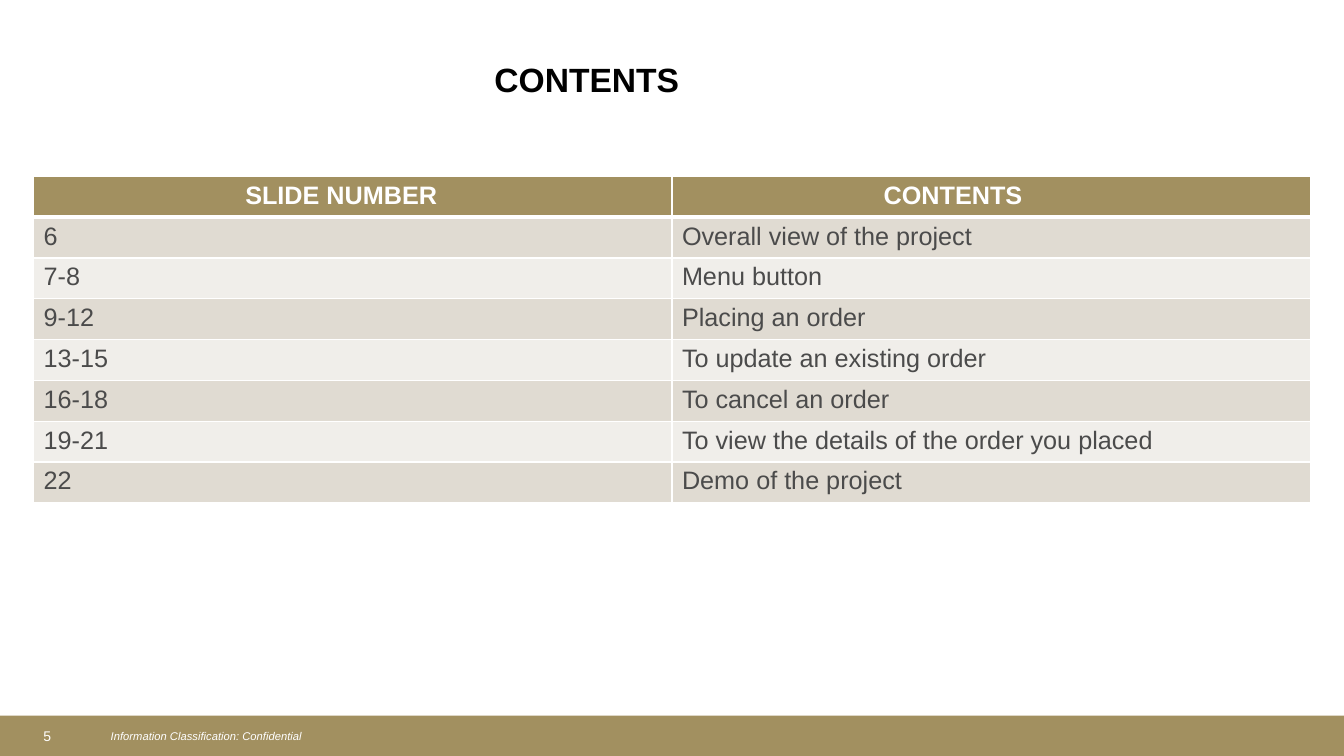
from dataclasses import dataclass

from lxml.etree import SubElement
from pptx import Presentation
from pptx.dml.color import RGBColor as Rgb
from pptx.enum.shapes import MSO_SHAPE as Shape
from pptx.enum.text import MSO_ANCHOR as Anchor
from pptx.oxml.ns import qn
from pptx.util import Inches, Pt


@dataclass(frozen=True)
class Theme:
    font: str = "Arial"
    gold: str = "A29060"
    bands: tuple = ("E0DBD2", "F0EEEA")
    white: str = "FFFFFF"
    black: str = "000000"
    grey: str = "4B4B4B"
    title_size: int = 24
    table_size: int = 18
    number_size: int = 10
    footer_size: int = 8


class ContentsSlide:
    COLUMNS, ROWS = 40, 30

    def __init__(self, deck, theme):
        self.theme = theme
        self.slide = deck.slides.add_slide(deck.slide_layouts[6])
        self.column = deck.slide_width / self.COLUMNS
        self.row = deck.slide_height / self.ROWS

    def area(self, left, top, width, height):
        """Turn grid columns and rows into lengths."""
        return (round(left * self.column), round(top * self.row),
                round(width * self.column), round(height * self.row))

    def set_text(self, frame, text, size, color, bold=False, italic=False):
        frame.text = text
        paragraph = frame.paragraphs[0]
        font = paragraph.runs[0].font
        font.name, font.size = self.theme.font, Pt(size)
        font.bold, font.italic = bold, italic
        font.color.rgb = Rgb.from_string(color)
        return paragraph

    def bar(self, *grid):
        band = self.slide.shapes.add_shape(Shape.RECTANGLE, *self.area(*grid))
        band.shadow.inherit = False
        band.fill.solid()
        band.fill.fore_color.rgb = Rgb.from_string(self.theme.gold)
        band.line.fill.background()

    def label(self, text, grid, size, color, anchor=Anchor.MIDDLE,
              indent=0.1, inset=0.05, spacing=0.95, **style):
        frame = self.slide.shapes.add_textbox(*self.area(*grid)).text_frame
        frame.word_wrap = True
        frame.vertical_anchor = anchor
        frame.margin_left, frame.margin_top = Inches(indent), Inches(inset)
        self.set_text(frame, text, size, color, **style).line_spacing = spacing

    def border(self, cell, **widths):
        properties = cell._tc.get_or_add_tcPr()
        for side, width in widths.items():
            line = SubElement(properties, qn(f"a:ln{side}"), w=str(Pt(width)))
            fill = SubElement(line, qn("a:solidFill"))
            SubElement(fill, qn("a:srgbClr"), val=self.theme.white)

    def table(self, entries, *grid):
        theme = self.theme
        contents = self.slide.shapes.add_table(
            len(entries), len(entries[0]), *self.area(*grid)).table
        for index, entry in enumerate(entries):
            header = index == 0
            background = theme.gold if header else theme.bands[(index - 1) % 2]
            for cell, text in zip(contents.rows[index].cells, entry):
                # Borders come before the fill in the cell properties
                self.border(cell, L=1, R=1, T=3 if index == 1 else 1,
                            B=3 if header else 1)
                cell.fill.solid()
                cell.fill.fore_color.rgb = Rgb.from_string(background)
                cell.margin_left = Inches(2.1 if header else 0.1)
                self.set_text(cell.text_frame, text, theme.table_size,
                              theme.white if header else theme.grey, bold=header)


ENTRIES = [
    ("SLIDE NUMBER", "CONTENTS"),
    ("6", "Overall view of the project"),
    ("7-8", "Menu button"),
    ("9-12", "Placing an order"),
    ("13-15", "To update an existing order"),
    ("16-18", "To cancel an order"),
    ("19-21", "To view the details of the order you placed"),
    ("22", "Demo of the project"),
]


def main():
    deck = Presentation()
    deck.slide_width, deck.slide_height = Inches(13.33), Inches(7.5)
    theme = Theme()
    page = ContentsSlide(deck, theme)

    # Footer
    page.bar(0, 28.4, 40, 1.6)
    page.label("Information Classification: Confidential", (3, 28.76, 27.8, 0.96),
               theme.footer_size, theme.white, italic=True)
    page.label("5", (1, 28.48, 1.8, 1.52), theme.number_size, theme.white)

    # Title
    page.label("CONTENTS", (1, 2, 38, 1.84), theme.title_size, theme.black,
               anchor=Anchor.TOP, indent=4.57, inset=0.08, spacing=1.0, bold=True)

    # Table of contents
    page.table(ENTRIES, 1, 7, 38, 1.62 * len(ENTRIES))

    deck.save("out.pptx")


if __name__ == "__main__":
    main()
